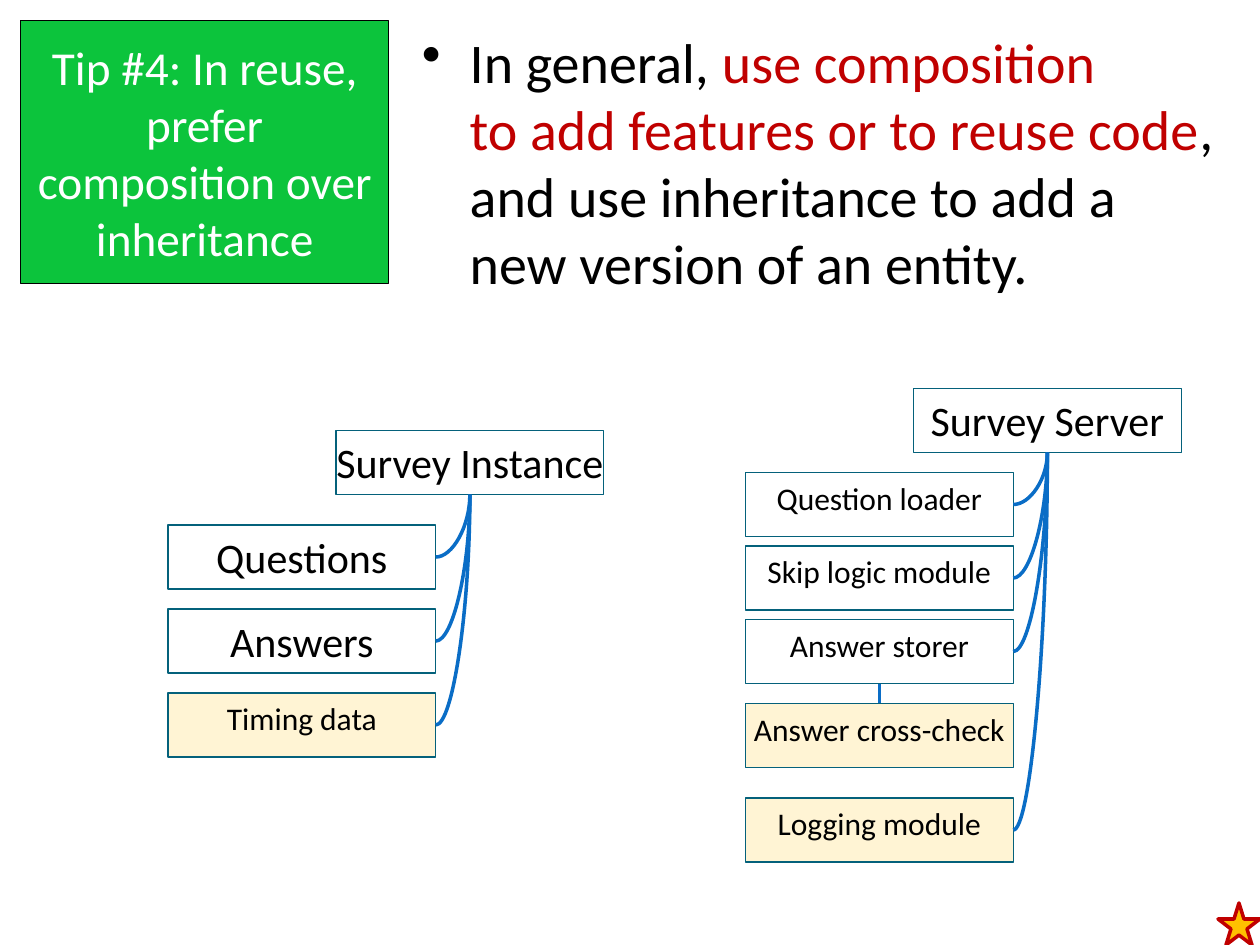
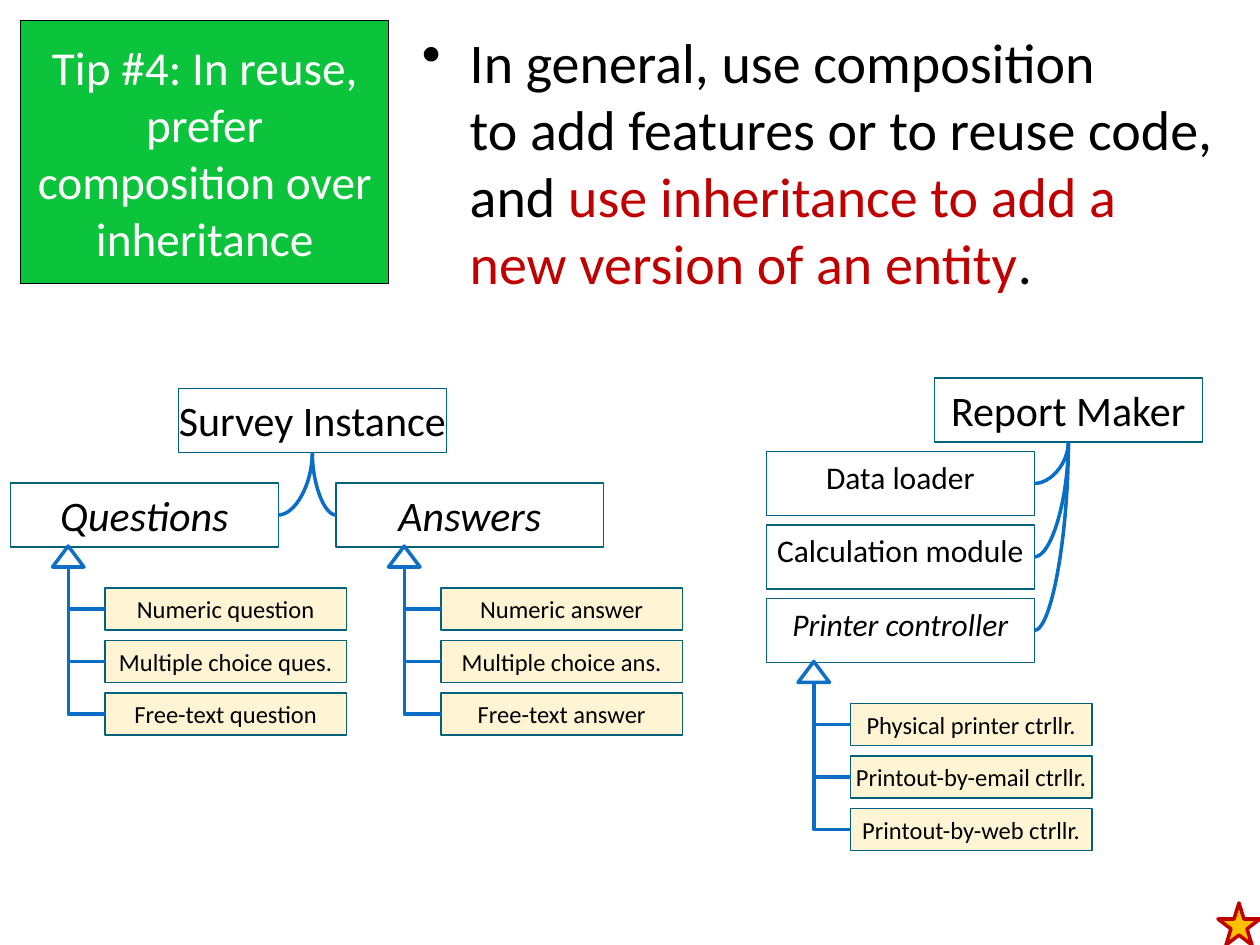
import pptx
import pptx.util
import pptx.dml.color
import pptx.enum.shapes
import pptx.enum.text
import pptx.oxml
import pptx.oxml.ns
import lxml.etree

RGBColor = pptx.dml.color.RGBColor
WHITE = RGBColor(0xFF, 0xFF, 0xFF)
BLACK = RGBColor(0x00, 0x00, 0x00)
GREEN = RGBColor(0x0C, 0xC4, 0x3C)
RED = RGBColor(0xC0, 0x00, 0x00)
GOLD = RGBColor(0xFF, 0xC0, 0x00)
TEAL = RGBColor(0x04, 0x61, 0x7B)
LINK_BLUE = RGBColor(0x0A, 0x6D, 0xC6)
ARROW_BLUE = RGBColor(0x0F, 0x6F, 0xC6)

FONT = "Calibri"
COLUMNS, ROWS = 120, 90
BOX_WIDTH, BOX_HEIGHT = 25.5, 6.1
VARIANT_WIDTH, VARIANT_HEIGHT, VARIANT_STEP = 23, 4, 5

SHAPES = pptx.enum.shapes.MSO_SHAPE
CONNECTORS = pptx.enum.shapes.MSO_CONNECTOR
ALIGN = pptx.enum.text.PP_ALIGN
ANCHOR = pptx.enum.text.MSO_ANCHOR


class SlideMaker:
    def __init__(self, deck):
        self.deck = deck
        self.column = deck.slide_width / COLUMNS
        self.row = deck.slide_height / ROWS
        self.page = None

    def new_page(self, statement):
        self.page = self.deck.slides.add_slide(self.deck.slide_layouts[6])
        title = self.shape(SHAPES.RECTANGLE, 2, 2, 35, 25, GREEN, BLACK, 0.5)
        self.label(title, "Tip #4: In reuse, prefer composition over inheritance", 27, WHITE)
        title.text_frame.word_wrap = True
        title.text_frame.vertical_anchor = ANCHOR.MIDDLE
        self.bullet(statement)
        self.shape(SHAPES.STAR_5_POINT, 116, 86, 4, 4, GOLD, RED, 2)

    def place(self, left, top, width, height):
        return [round(length) for length in (left * self.column, top * self.row,
                                             width * self.column, height * self.row)]

    def shape(self, kind, left, top, width, height, fill, line, weight):
        shape = self.page.shapes.add_shape(kind, *self.place(left, top, width, height))
        shape.shadow.inherit = False
        shape.fill.solid()
        shape.fill.fore_color.rgb = fill
        shape.line.color.rgb = line
        shape.line.width = pptx.util.Pt(weight)
        return shape

    def span(self, para, text, size, color, italic=False):
        span = para.add_run()
        span.text = text
        span.font.name = FONT
        span.font.size = pptx.util.Pt(size)
        span.font.color.rgb = color
        if italic:
            span.font.italic = True

    def label(self, shape, text, size, color=BLACK, italic=False):
        para = shape.text_frame.paragraphs[0]
        para.alignment = ALIGN.CENTER
        self.span(para, text, size, color, italic)

    def bullet(self, statement):
        box = self.page.shapes.add_textbox(*self.place(39, 2, 78, 86))
        box.text_frame.word_wrap = True
        para = box.text_frame.paragraphs[0]
        para.space_before = pptx.util.Pt(8)
        properties = para._p.get_or_add_pPr()
        indent = pptx.util.Inches(0.38)
        properties.set("marL", str(indent))
        properties.set("indent", str(-indent))
        mark = lxml.etree.SubElement(properties, pptx.oxml.ns.qn("a:buChar"))
        mark.set("char", "•")
        for text, color in statement:
            for index, piece in enumerate(text.split("\n")):
                if index:
                    para.add_line_break()
                self.span(para, piece, 32, color)

    def box(self, text, left, top, size=24, new=False, italic=False,
            width=BOX_WIDTH, height=BOX_HEIGHT):
        box = self.shape(SHAPES.RECTANGLE, left, top, width, height,
                         GOLD if new else WHITE, TEAL, 0.75)
        if new:
            color = box._element.spPr.find(".//" + pptx.oxml.ns.qn("a:srgbClr"))
            lxml.etree.SubElement(color, pptx.oxml.ns.qn("a:alpha")).set("val", "17000")
        box.text_frame.word_wrap = False
        box.text_frame.vertical_anchor = ANCHOR.TOP
        self.label(box, text, size, italic=italic)
        return box

    def connector(self, kind, *ends):
        link = self.page.shapes.add_connector(kind, *ends)
        link.line.color.rgb = LINK_BLUE
        link.line.width = pptx.util.Pt(2)
        lxml.etree.SubElement(link._element.spPr, pptx.oxml.ns.qn("a:effectLst"))
        return link

    def stem(self, upper, lower):
        link = self.connector(CONNECTORS.STRAIGHT, 0, 0, 0, 0)
        link.begin_connect(upper, 2)
        link.end_connect(lower, 0)

    def branch(self, parent, child, kind=CONNECTORS.CURVE):
        start_x = parent.left + parent.width // 2
        start_y = parent.top + parent.height
        leftward = child.left < start_x
        end_x = child.left + child.width if leftward else child.left
        end_y = child.top + child.height // 2
        across, down = abs(end_x - start_x), end_y - start_y
        left = (start_x + end_x - down) // 2
        top = (start_y + end_y - across) // 2
        link = self.connector(kind, left, top, left + down, top + across)
        properties = link._element.spPr
        name = "curvedConnector2" if kind == CONNECTORS.CURVE else "bentConnector2"
        properties.find(pptx.oxml.ns.qn("a:prstGeom")).set("prst", name)
        frame = properties.find(pptx.oxml.ns.qn("a:xfrm"))
        frame.set("rot", str((90 if leftward else 270) * 60000))
        if not leftward:
            frame.set("flipH", "1")

    def members(self, whole, left, entries, size=18):
        boxes = []
        for text, top, options in entries:
            member = self.box(text, left, top, **{"size": size, **options})
            self.branch(whole, member)
            boxes.append(member)
        return boxes

    def variants(self, left, top, names):
        arrow = self.shape(SHAPES.ISOSCELES_TRIANGLE, left, top, 3, 2, WHITE, ARROW_BLUE, 2)
        for index, name in enumerate(names):
            variant = self.box(name, left + 5, top + 4 + index * VARIANT_STEP, 14, True,
                               width=VARIANT_WIDTH, height=VARIANT_HEIGHT)
            self.branch(arrow, variant, CONNECTORS.ELBOW)


def composition_page(maker):
    maker.new_page([
        ("In general, ", BLACK),
        ("use composition \nto add features or to reuse code", RED),
        (", and use inheritance to add a new version of an entity.", BLACK),
    ])
    server = maker.box("Survey Server", 87, 37)
    server_boxes = maker.members(server, 71, [
        ("Question loader", 45, {}),
        ("Skip logic module", 52, {}),
        ("Answer storer", 59, {}),
        ("Logging module", 76, {"new": True}),
    ])
    cross_check = maker.box("Answer cross-check", 71, 67, 18, True)
    maker.stem(server_boxes[2], cross_check)
    instance = maker.box("Survey Instance", 32, 41)
    maker.members(instance, 16, [
        ("Questions", 50, {}),
        ("Answers", 58, {}),
        ("Timing data", 66, {"size": 18, "new": True}),
    ], size=24)


def inheritance_page(maker):
    maker.new_page([
        ("In general, use composition \nto add features or to reuse code, and ", BLACK),
        ("use inheritance to add a new version of an entity", RED),
        (".", BLACK),
    ])
    instance = maker.box("Survey Instance", 17, 37)
    for name, left in (("Questions", 1), ("Answers", 32)):
        maker.members(instance, left, [(name, 46, {"italic": True})], size=24)
    report = maker.box("Report Maker", 89, 36)
    maker.members(report, 73, [
        ("Data loader", 43, {}),
        ("Calculation module", 50, {}),
        ("Printer controller", 57, {"italic": True}),
    ])
    maker.variants(5, 52, ["Numeric question", "Multiple choice ques.", "Free-text question"])
    maker.variants(37, 52, ["Numeric answer", "Multiple choice ans.", "Free-text answer"])
    maker.variants(76, 63, ["Physical printer ctrllr.", "Printout-by-email ctrllr.",
                            "Printout-by-web ctrllr."])


def main():
    deck = pptx.Presentation()
    deck.slide_width = pptx.util.Inches(10)
    deck.slide_height = pptx.util.Inches(7.5)
    maker = SlideMaker(deck)
    composition_page(maker)
    inheritance_page(maker)
    deck.save("out.pptx")


if __name__ == "__main__":
    main()
